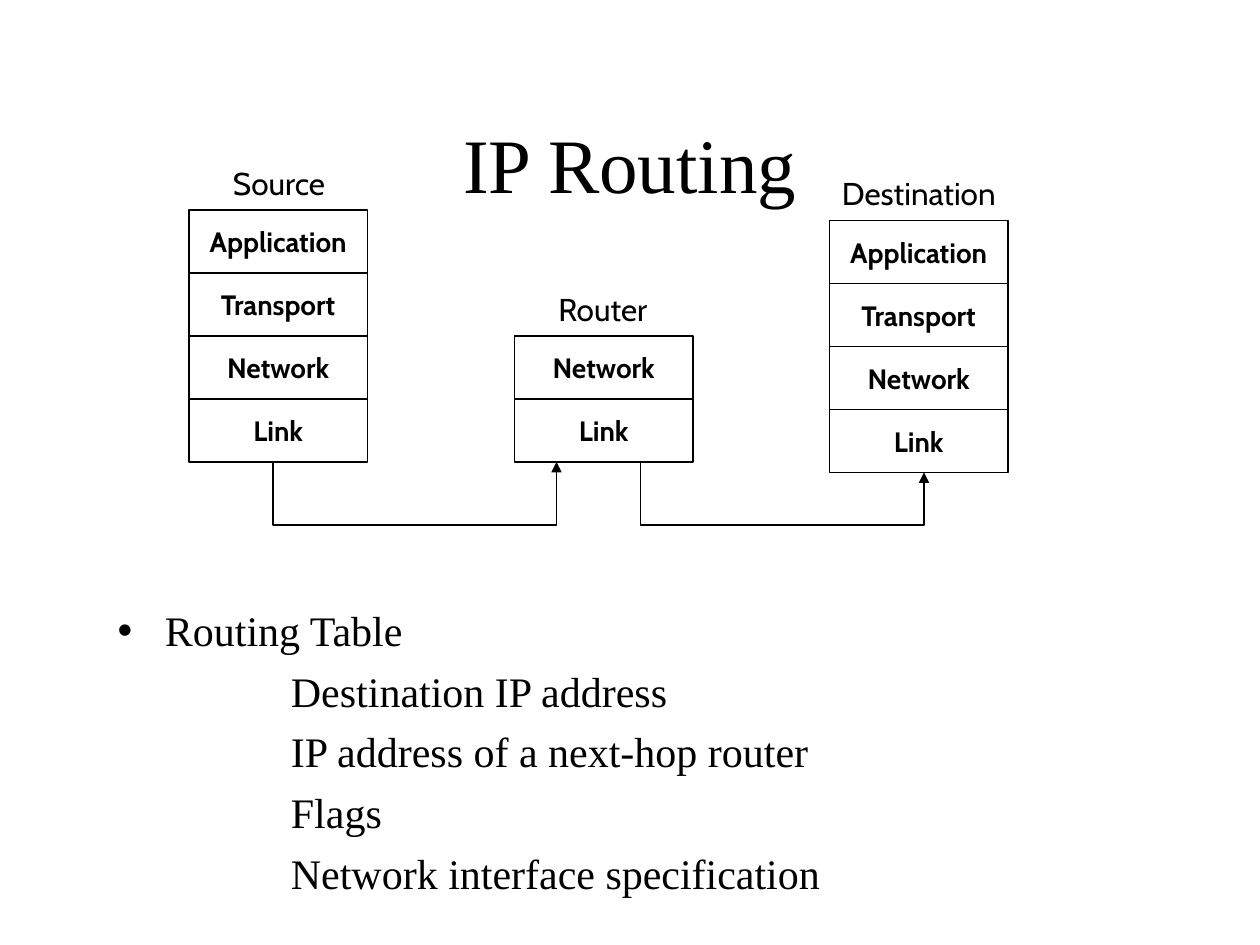
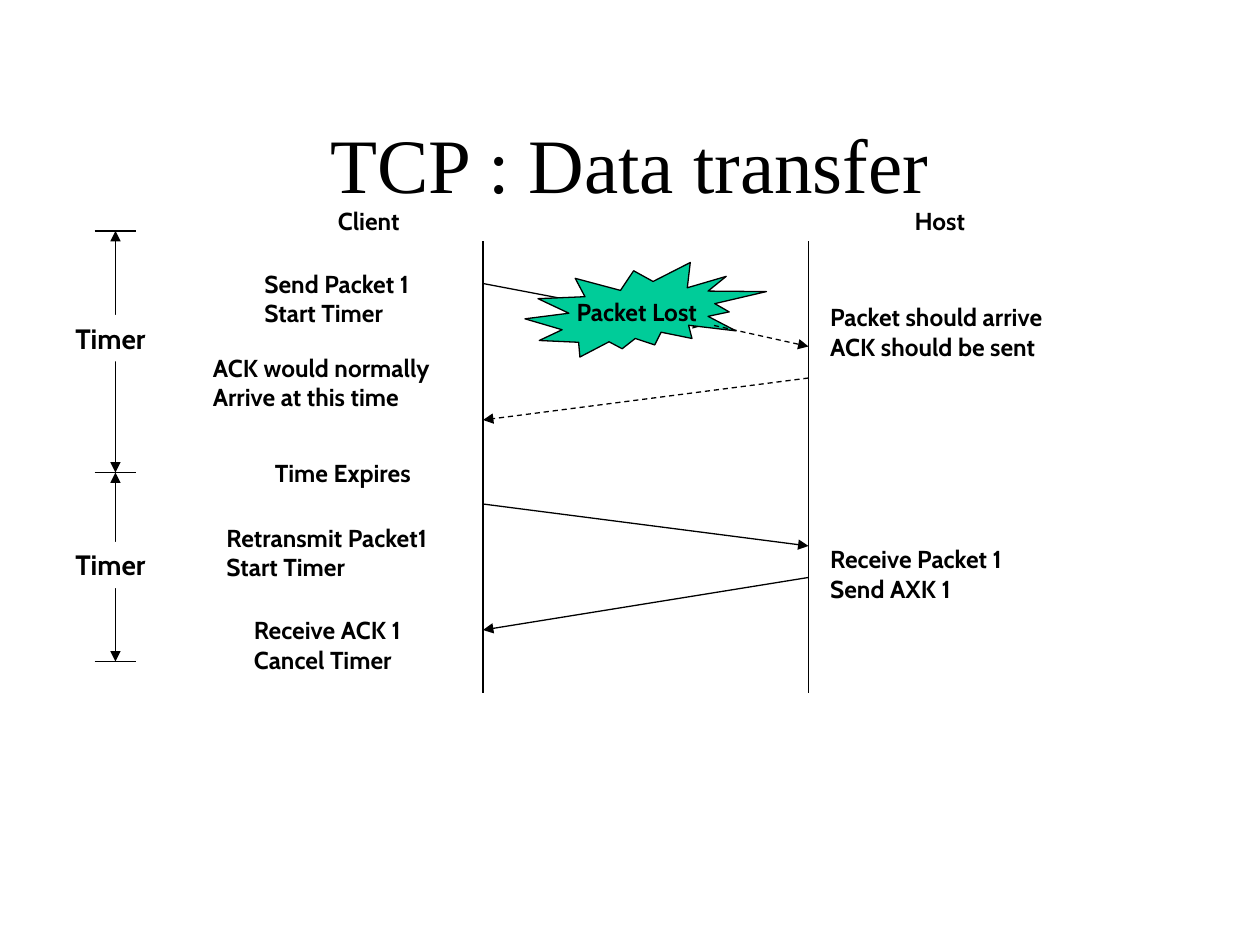
from lxml.etree import SubElement
from pptx import Presentation
from pptx.dml.color import RGBColor
from pptx.enum.dml import MSO_LINE
from pptx.enum.shapes import MSO_CONNECTOR, MSO_SHAPE
from pptx.enum.text import MSO_ANCHOR, MSO_AUTO_SIZE, PP_ALIGN
from pptx.oxml.ns import qn
from pptx.util import Pt

BLACK = RGBColor(0, 0, 0)
WHITE = RGBColor(255, 255, 255)
GREEN = RGBColor(0, 204, 153)
SERIF, SANS = "Times New Roman", "Cabin"

LAYERS = ["Application", "Transport", "Network", "Link"]
LAYER_W, LAYER_H = 102, 36
STACKS = [
    ("Source", (126, 90, 68.4), (108, 120), LAYERS),
    ("Destination", (474, 96, 103.7), (474, 126), LAYERS),
    ("Router", (312, 162, 67.7), (294, 192), LAYERS[2:]),
]
ROUTES = [
    [(156, 264), (156, 300), (318, 300), (318, 264)],
    [(366, 264), (366, 300), (528, 300), (528, 270)],
]
TABLE_HEAD = "Routing Table"
TABLE_FIELDS = ["Destination IP address", "IP address of a next-hop router",
                "Flags", "Network interface specification"]

CLIENT_X, HOST_X = 276, 462
LIFELINE_TOP, LIFELINE_END = 138, 396
NOTES = [
    ("Host", 515.5, 114, 46.8),
    ("Client", 186, 114, 55.4),
    ("Send Packet 1\nStart Timer", 144, 150, 114.5),
    ("Retransmit Packet1\nStart Timer", 122.3, 295.2, 154),
    ("Packet should arrive\nACK should be sent", 467.3, 169.2, 162.7),
    ("ACK would normally\nArrive at this time", 114.5, 198, 157),
    ("Receive Packet 1\nSend AXK 1", 467.3, 307.4, 134),
    ("Time Expires", 150, 258, 105),
    ("Receive ACK 1\nCancel Timer", 138, 348, 115.2),
]
MESSAGES = [
    (CLIENT_X, 162, 402, 186, False),
    (HOST_X, 216, CLIENT_X, 240, True),
    (CLIENT_X, 288, HOST_X, 312, False),
    (HOST_X, 330, CLIENT_X, 360, False),
]
LOST_TAIL = (408, 186, HOST_X, 198, True)
TIMER_X, TICK = 66, 12
TIMERS = [(132, 270, 180), (270, 378, 309.6)]


def write(tf, text, size=14, font=SANS, bold=True, align=PP_ALIGN.LEFT,
          anchor=MSO_ANCHOR.TOP, wrap=False):
    tf.auto_size = MSO_AUTO_SIZE.NONE
    tf.word_wrap = wrap
    tf.vertical_anchor = anchor
    for i, line in enumerate(text.split("\n")):
        p = tf.add_paragraph() if i else tf.paragraphs[0]
        p.alignment = align
        r = p.add_run()
        r.text = line
        r.font.size, r.font.name, r.font.bold = Pt(size), font, bold
        r.font.color.rgb = BLACK


def place(sp, x, y, w, h):
    sp.left, sp.top, sp.width, sp.height = Pt(x), Pt(y), Pt(w), Pt(h)


def add_label(s, text, x, y, w, h, **fmt):
    sp = s.shapes.add_textbox(Pt(x), Pt(y), Pt(w), Pt(h))
    write(sp.text_frame, text, **fmt)
    return sp


def outline(line, dashed=False, head=False, tail=False):
    line.color.rgb = BLACK
    line.width = Pt(0.75)
    if dashed:
        line.dash_style = MSO_LINE.DASH
    ln = line.fill._xPr
    for tag, wanted in (("a:headEnd", head), ("a:tailEnd", tail)):
        if wanted:
            SubElement(ln, qn(tag), type="triangle")


def add_box(s, kind, text, x, y, w, h, fill=None, **fmt):
    sp = s.shapes.add_shape(kind, Pt(x), Pt(y), Pt(w), Pt(h))
    sp.shadow.inherit = False
    if fill is None:
        sp.fill.background()
    else:
        sp.fill.solid()
        sp.fill.fore_color.rgb = fill
    outline(sp.line)
    write(sp.text_frame, text, align=PP_ALIGN.CENTER, anchor=MSO_ANCHOR.MIDDLE, **fmt)


def add_line(s, x1, y1, x2, y2, dashed=False, head=False, tail=False):
    c = s.shapes.add_connector(MSO_CONNECTOR.STRAIGHT, Pt(x1), Pt(y1), Pt(x2), Pt(y2))
    outline(c.line, dashed, head, tail)
    SubElement(c._element.spPr, qn("a:effectLst"))


def add_route(s, points):
    fb = s.shapes.build_freeform(*[Pt(v) for v in points[0]])
    fb.add_line_segments([(Pt(x), Pt(y)) for x, y in points[1:]], close=False)
    sp = fb.convert_to_shape()
    sp.shadow.inherit = False
    sp.fill.background()
    outline(sp.line, tail=True)


def new_slide(prs, layout, title):
    s = prs.slides.add_slide(prs.slide_layouts[layout])
    place(s.shapes.title, 54, 48, 612, 90)
    write(s.shapes.title.text_frame, title, size=44, font=SERIF, bold=False,
          align=PP_ALIGN.CENTER, anchor=MSO_ANCHOR.MIDDLE, wrap=True)
    return s


def add_routing_list(s):
    body = s.placeholders[1]
    place(body, 60, 306, 612, 210)
    tf = body.text_frame
    tf.margin_top = Pt(39.6)
    write(tf, "\n".join([TABLE_HEAD] + TABLE_FIELDS), size=24, font=SERIF,
          bold=False, wrap=True)
    for i, p in enumerate(tf.paragraphs):
        pPr = p._p.get_or_add_pPr()
        pPr.set("marL", str(Pt(99 if i else 27)))
        pPr.set("indent", str(Pt(0 if i else -27)))
        if i:
            SubElement(pPr, qn("a:buNone"))
        else:
            SubElement(pPr, qn("a:buChar"), char="•")
        p.space_before = Pt(5.8 if i else 0)


def build_routing(prs):
    s = new_slide(prs, 1, "IP Routing")
    add_routing_list(s)
    for name, (nx, ny, nw), (x, top), layers in STACKS:
        for i, layer in enumerate(layers):
            add_box(s, MSO_SHAPE.RECTANGLE, layer, x, top + i * LAYER_H,
                    LAYER_W, LAYER_H, size=16)
        add_label(s, name, nx, ny, nw, 29, size=18, bold=False)
    for points in ROUTES:
        add_route(s, points)


def build_transfer(prs):
    s = new_slide(prs, 5, "TCP : Data transfer")
    for x in (CLIENT_X, HOST_X):
        add_line(s, x, LIFELINE_TOP, x, LIFELINE_END)
    for text, x, y, w in NOTES:
        add_label(s, text, x, y, w, 41 if "\n" in text else 24)
    for *ends, dashed in MESSAGES:
        add_line(s, *ends, dashed=dashed, tail=True)
    add_box(s, MSO_SHAPE.EXPLOSION2, "Packet Lost", 300, 150, 138, 54, fill=GREEN)
    *ends, dashed = LOST_TAIL
    add_line(s, *ends, dashed=dashed, tail=True)
    for y in sorted({y for start, end, _ in TIMERS for y in (start, end)}):
        add_line(s, TIMER_X - TICK, y, TIMER_X + TICK, y)
    for start, end, label_y in TIMERS:
        add_line(s, TIMER_X, start, TIMER_X, end, head=True, tail=True)
        sp = add_label(s, "Timer", 36, label_y, 61.2, 26.6, size=16)
        sp.fill.solid()
        sp.fill.fore_color.rgb = WHITE


def main():
    prs = Presentation()
    prs.slide_width, prs.slide_height = Pt(720), Pt(540)
    build_routing(prs)
    build_transfer(prs)
    prs.save("out.pptx")


if __name__ == "__main__":
    main()
